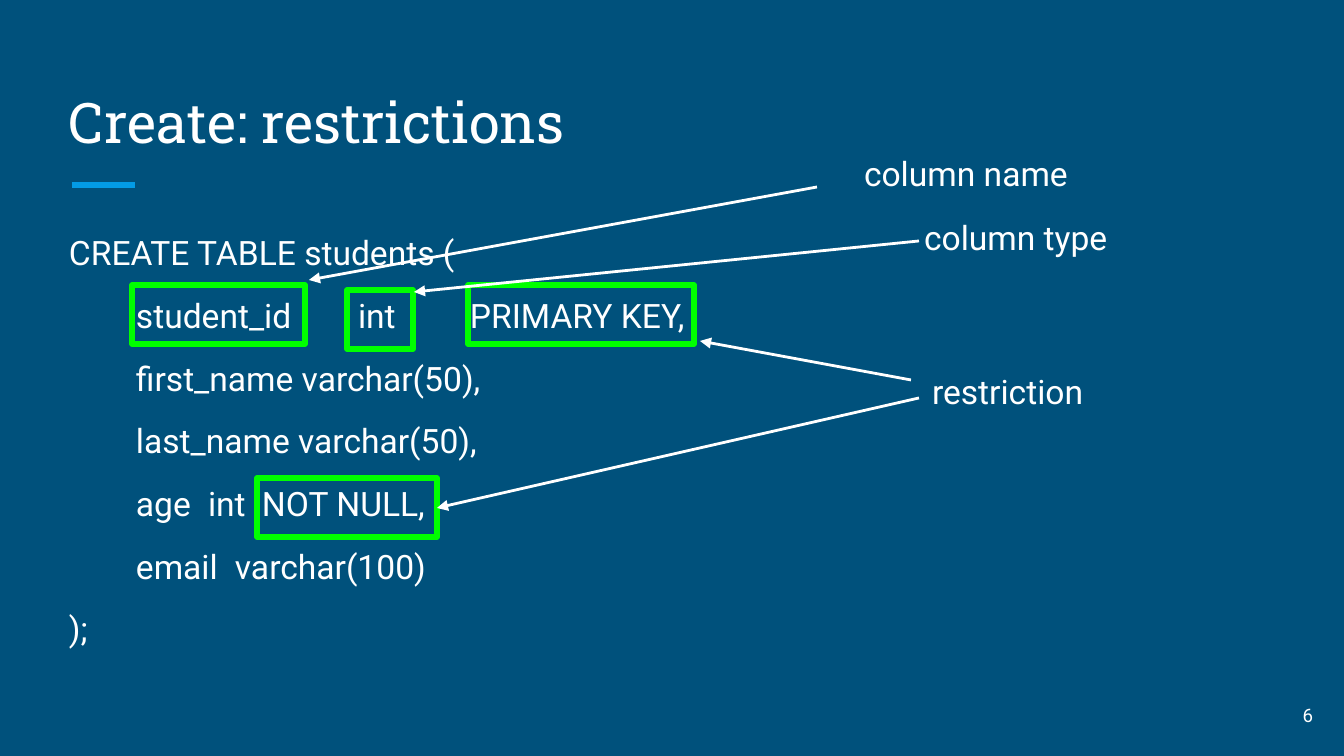
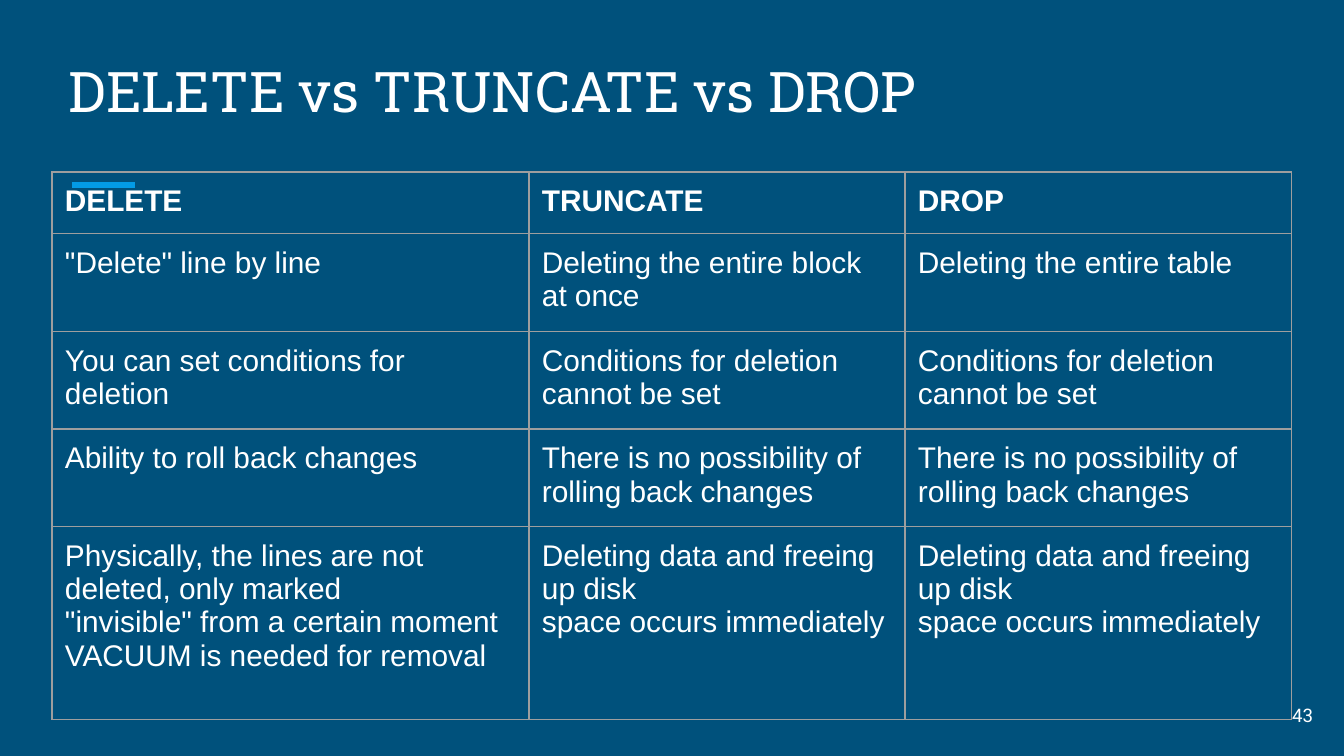
from lxml import etree
from pptx import Presentation
from pptx.dml.color import RGBColor
from pptx.enum.shapes import MSO_CONNECTOR, MSO_SHAPE
from pptx.enum.text import MSO_ANCHOR as Anchor, MSO_AUTO_SIZE, PP_ALIGN as Align
from pptx.oxml.ns import qn
from pptx.util import Emu, Pt

SLIDE_WIDTH, SLIDE_HEIGHT = 1344, 756
EMU_PER_PX = 9144000 / SLIDE_WIDTH
INSET = 13

NAVY = RGBColor(0x00, 0x51, 0x7C)
BLUE = RGBColor(0x03, 0x9B, 0xE5)
GREEN = RGBColor(0x00, 0xFF, 0x00)
WHITE = RGBColor(0xFF, 0xFF, 0xFF)
GRAY = RGBColor(0x9E, 0x9E, 0x9E)

TITLE_FONT, BODY_FONT, TABLE_FONT = "Roboto Slab", "Roboto", "Arial"

# Each code line: tab stops, then the text that uses them
CODE_LINES = [
    ([], "CREATE TABLE students ("),
    ([67, 289, 401], "\tstudent_id\tint\tPRIMARY KEY,"),
    ([67], "\tfirst_name varchar(50),"),
    ([67], "\tlast_name varchar(50),"),
    ([67, 139, 193], "\tage\tint\tNOT NULL,"),
    ([67, 166], "\temail\tvarchar(100)"),
    ([], ");"),
]
# Positions below are relative to the code box
HIGHLIGHTS = [(76, 66, 173), (291, 71, 66), (412, 66, 226), (201, 259, 180)]
HIGHLIGHT_HEIGHT = 59
ARROWS = [
    ((761, -32), (253, 61)),
    ((863, 22), (358, 73)),
    ((855, 161), (644, 122)),
    ((863, 179), (381, 289)),
]
LABELS = [
    (795, -79, "column name"),
    (855, -15, "column type"),
    (863, 139, "restriction"),
]

COLUMN_WIDTHS = [477, 376, 387]
ROW_HEIGHTS = [60, 93, 93, 93, 193]
COMPARISON = [
    ["DELETE", "TRUNCATE", "DROP"],
    ['"Delete" line by line', "Deleting the entire block at once",
     "Deleting the entire table"],
    ["You can set conditions for deletion"]
    + ["Conditions for deletion cannot be set"] * 2,
    ["Ability to roll back changes"]
    + ["There is no possibility of rolling back changes"] * 2,
    ["Physically, the lines are not deleted, only marked\n"
     '"invisible" from a certain moment\nVACUUM is needed for removal']
    + ["Deleting data and freeing up disk\nspace occurs immediately"] * 2,
]


def px(value):
    return Emu(round(value * EMU_PER_PX))


def set_insets(target):
    """Give a text frame or a table cell the same margin on every side."""
    target.margin_left = target.margin_right = px(INSET)
    target.margin_top = target.margin_bottom = px(INSET)


def style_paragraph(paragraph, size, name=BODY_FONT, bold=False):
    font = paragraph.font
    font.size, font.name, font.bold = Pt(size), name, bold
    font.color.rgb = WHITE


def add_text(slide, box, text, size, align=Align.LEFT, anchor=Anchor.TOP):
    frame = slide.shapes.add_textbox(*map(px, box)).text_frame
    frame.word_wrap = True
    frame.vertical_anchor = anchor
    set_insets(frame)
    frame.text = text
    for paragraph in frame.paragraphs:
        paragraph.alignment = align
        style_paragraph(paragraph, size)
    return frame


def add_line(slide, start, end, color, width, arrow=False):
    line = slide.shapes.add_connector(
        MSO_CONNECTOR.STRAIGHT, *map(px, (*start, *end)))
    line.line.color.rgb = color
    line.line.width = Pt(width)
    if arrow:
        outline = line.line._get_or_add_ln()
        etree.SubElement(outline, qn("a:tailEnd"), type="triangle")
    etree.SubElement(line._element.spPr, qn("a:effectLst"))


def add_tab_stops(paragraph, stops):
    if stops:
        properties = paragraph._p.get_or_add_pPr()
        tabs = etree.Element(qn("a:tabLst"))
        for stop in stops:
            etree.SubElement(tabs, qn("a:tab"), pos=str(px(stop)), algn="l")
        defaults = properties.find(qn("a:defRPr"))
        if defaults is None:
            properties.append(tabs)
        else:
            defaults.addprevious(tabs)


def add_base_slide(presentation, title_text, title_top, number):
    """Add a slide with its title, accent line and page number."""
    slide = presentation.slides.add_slide(presentation.slide_layouts[5])
    title = slide.shapes.title
    title.left, title.top = px(56), px(title_top)
    title.width, title.height = px(1230), px(101)
    frame = title.text_frame
    frame.text = title_text
    frame.word_wrap = True
    frame.auto_size = MSO_AUTO_SIZE.NONE
    frame.vertical_anchor = Anchor.BOTTOM
    set_insets(frame)
    paragraph = frame.paragraphs[0]
    paragraph.alignment = Align.LEFT
    style_paragraph(paragraph, 30, TITLE_FONT)
    add_line(slide, (72, 185), (135, 185), BLUE, 3)
    add_text(slide, (1246, 686, 80, 58), str(number), 10,
             Align.RIGHT, Anchor.MIDDLE)
    return slide


def add_code(slide, box):
    text = "\n".join(line for _, line in CODE_LINES)
    frame = add_text(slide, box, text, 18)
    for index, (stops, _) in enumerate(CODE_LINES):
        paragraph = frame.paragraphs[index]
        add_tab_stops(paragraph, stops)
        if index:
            paragraph.space_before = Pt(12)


def add_annotations(slide, left, top):
    """Frame parts of the code and point labelled arrows at them."""
    for x, y, width in HIGHLIGHTS:
        highlight = slide.shapes.add_shape(
            MSO_SHAPE.RECTANGLE,
            *map(px, (left + x, top + y, width, HIGHLIGHT_HEIGHT)))
        highlight.shadow.inherit = False
        highlight.fill.background()
        highlight.line.color.rgb = GREEN
        highlight.line.width = Pt(3)
    for start, end in ARROWS:
        add_line(slide, (left + start[0], top + start[1]),
                 (left + end[0], top + end[1]), WHITE, 1.5, arrow=True)
    for x, y, text in LABELS:
        add_text(slide, (left + x, top + y, 375, 79), text, 18)


def set_borders(cell):
    properties = cell._tc.get_or_add_tcPr()
    for side in ("lnL", "lnR", "lnT", "lnB"):
        border = etree.SubElement(properties, qn(f"a:{side}"), w=str(Pt(0.75)))
        fill = etree.SubElement(border, qn("a:solidFill"))
        etree.SubElement(fill, qn("a:srgbClr"), val=str(GRAY))


def add_comparison_table(slide, left, top):
    box = (left, top, sum(COLUMN_WIDTHS), sum(ROW_HEIGHTS))
    table = slide.shapes.add_table(
        len(ROW_HEIGHTS), len(COLUMN_WIDTHS), *map(px, box)).table
    table.first_row = table.horz_banding = False
    for column, width in zip(table.columns, COLUMN_WIDTHS):
        column.width = px(width)
    for index, (row, height) in enumerate(zip(table.rows, ROW_HEIGHTS)):
        row.height = px(height)
        for cell, text in zip(row.cells, COMPARISON[index]):
            set_borders(cell)
            cell.fill.background()
            set_insets(cell)
            cell.text = text
            for paragraph in cell.text_frame.paragraphs:
                style_paragraph(paragraph, 16, TABLE_FONT, bold=index == 0)


def build_restrictions_slide(presentation):
    slide = add_base_slide(presentation, "Create: restrictions", 67, 6)
    left, top = 56, 219
    add_code(slide, (left, top, 653, 453))
    add_annotations(slide, left, top)


def build_comparison_slide(presentation):
    slide = add_base_slide(presentation, "DELETE vs TRUNCATE vs DROP", 36, 43)
    add_comparison_table(slide, 52, 172)


def main():
    presentation = Presentation()
    presentation.slide_width = px(SLIDE_WIDTH)
    presentation.slide_height = px(SLIDE_HEIGHT)
    background = presentation.slide_master.background.fill
    background.solid()
    background.fore_color.rgb = NAVY
    build_restrictions_slide(presentation)
    build_comparison_slide(presentation)
    presentation.save("out.pptx")


if __name__ == "__main__":
    main()
